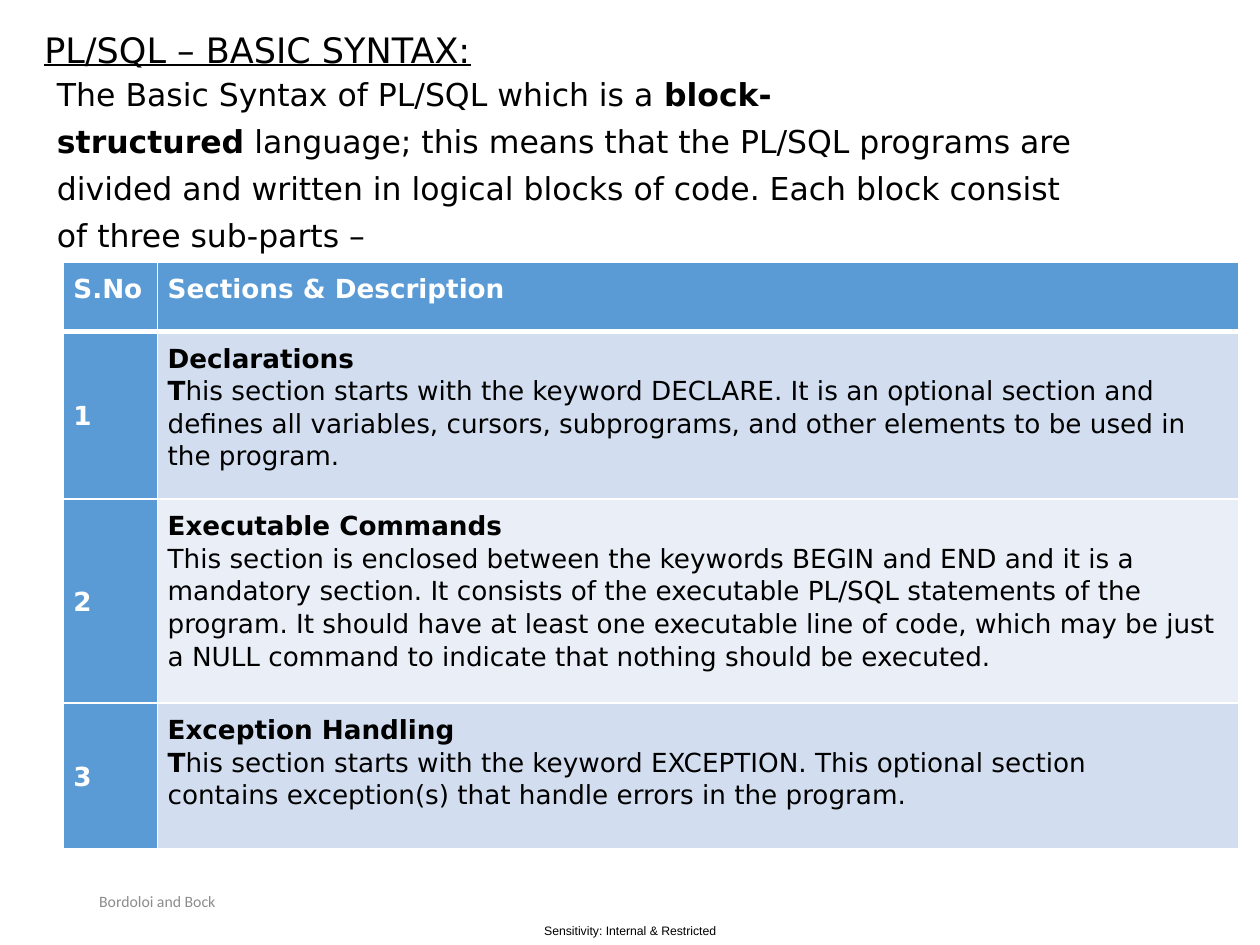
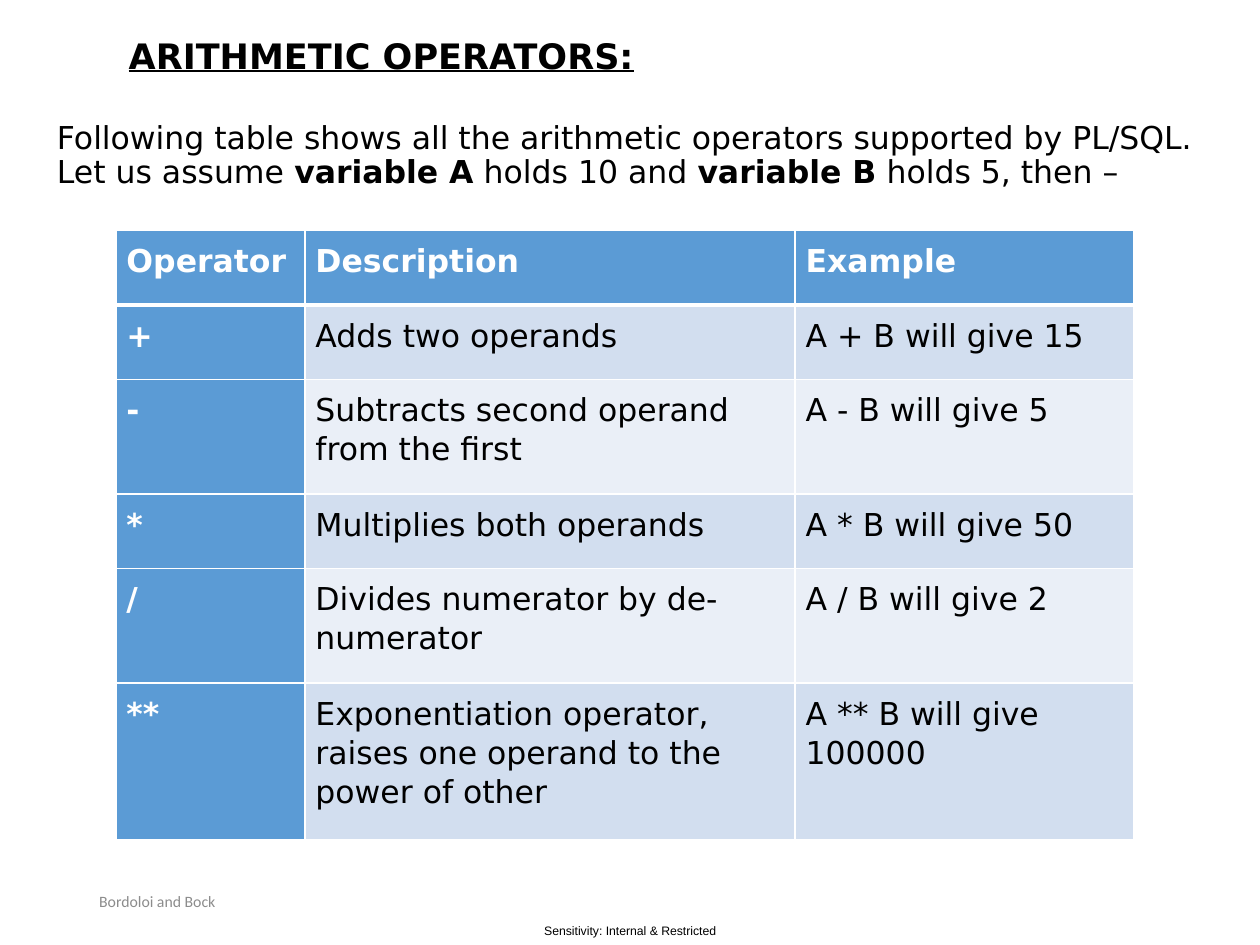
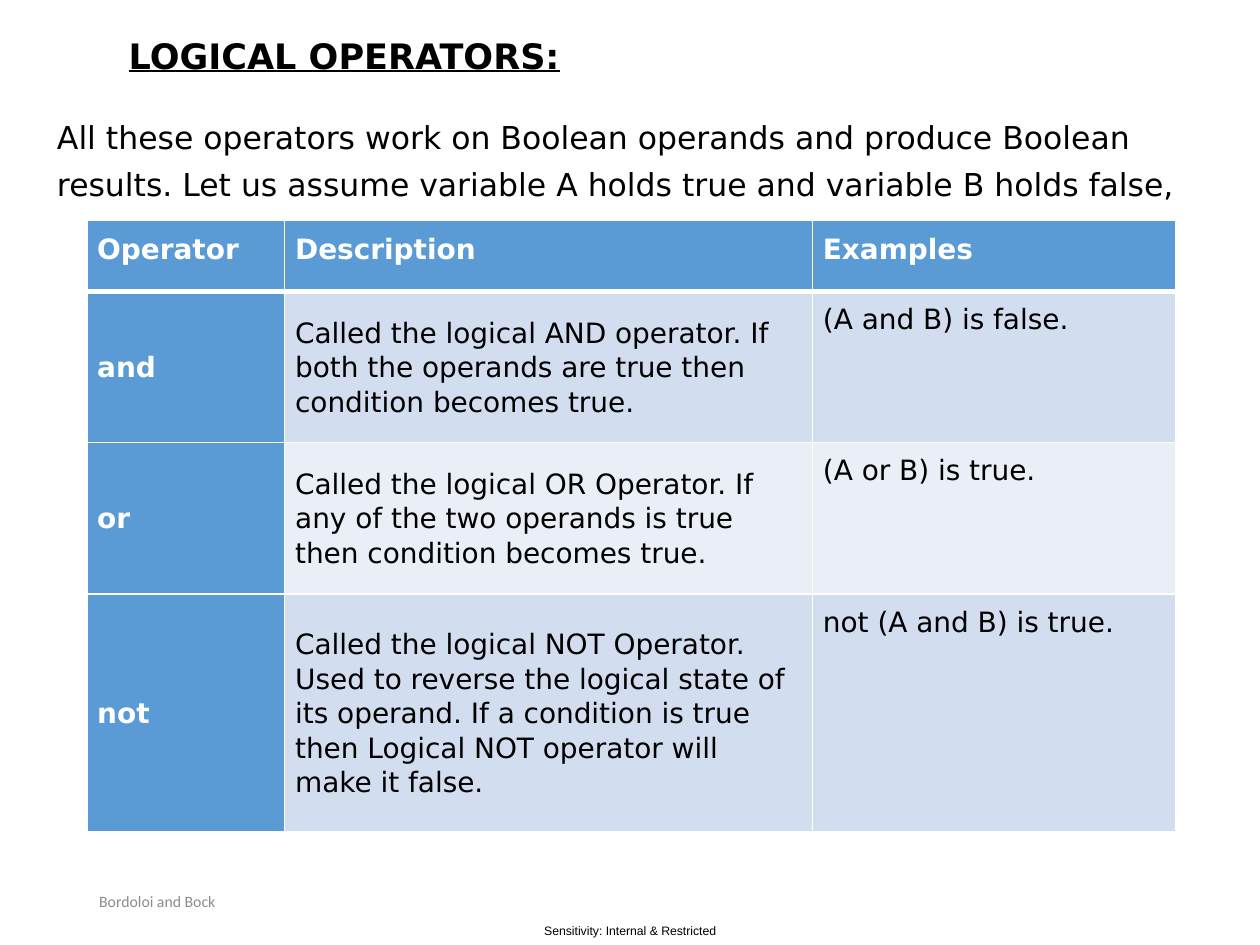
from lxml import etree
from pptx import Presentation, util as u
from pptx.dml.color import RGBColor
from pptx.enum import text
from pptx.oxml import ns

HUES = {"ink": "000000", "paper": "FFFFFF", "head": "5B9BD5",
        "odd": "D2DEEF", "even": "EAEFF7", "note": "8C8C8C"}
FACE = "DejaVu Sans"


def place(item, box):
    """Move and size a shape to a box given in centimetres."""
    item.left, item.top, item.width, item.height = map(u.Cm, box)


def write(frame, lines, size, hue="ink", bold=False, face=FACE, gap=None, before=0):
    """Fill a text frame with paragraphs, where a bar switches bold on or off."""
    for k, line in enumerate(lines):
        para = frame.paragraphs[0] if k == 0 else frame.add_paragraph()
        font = para.font
        font.name, font.size, font.bold = face, u.Pt(size), bold
        font.color.rgb = RGBColor.from_string(HUES[hue])
        para.line_spacing, para.space_before = gap, u.Pt(before)
        parts = line.split("|")
        for n, part in enumerate(parts):
            if part:
                run = para.add_run()
                run.text = part
                if len(parts) > 1:
                    run.font.bold = n % 2 == 1


def add_text(slide, box, lines, size, **style):
    """Add a wrapping text box and return its frame."""
    item = slide.shapes.add_textbox(0, 0, 0, 0)
    place(item, box)
    frame = item.text_frame
    frame.word_wrap = True
    write(frame, lines, size, **style)
    return frame


def add_title(slide, box, title, bold):
    """Place and format the underlined title."""
    item = slide.shapes.title
    place(item, box)
    frame = item.text_frame
    frame.vertical_anchor = text.MSO_ANCHOR.MIDDLE
    write(frame, [title], 20, bold=bold, gap=0.9)
    para = frame.paragraphs[0]
    para.font.underline = True
    para.alignment = text.PP_ALIGN.LEFT


def add_body(slide, box, lines):
    """Add the introduction with its left indent."""
    frame = add_text(slide, box, lines, 18, gap=0.9, before=7.5)
    for para in frame.paragraphs:
        props = para._p.get_or_add_pPr()
        props.set("marL", str(u.Cm(0.47)))
        props.set("indent", "0")


def add_foot(slide):
    """Add the author line and the sensitivity mark."""
    mark = add_text(slide, (10.62, 18.49, 4.17, 0.56),
                    ["Sensitivity: Internal & Restricted"], 7, face="Arial")
    mark.margin_left = mark.margin_right = mark.margin_top = mark.margin_bottom = 0
    mark.paragraphs[0].alignment = text.PP_ALIGN.CENTER
    names = add_text(slide, (1.75, 17.65, 5.72, 1.02), ["Bordoloi and Bock"], 9,
                     hue="note", face="Calibri")
    mark.vertical_anchor = names.vertical_anchor = text.MSO_ANCHOR.MIDDLE


def edge(cell, base):
    """Draw white cell borders, with the given bottom width in points."""
    props = cell._tc.get_or_add_tcPr()
    for side, width in (("L", 1), ("R", 1), ("T", 1), ("B", base)):
        line = etree.SubElement(props, ns.qn("a:ln" + side), w=str(u.Pt(width)))
        fill = etree.SubElement(line, ns.qn("a:solidFill"))
        etree.SubElement(fill, ns.qn("a:srgbClr"), val=HUES["paper"])


def add_grid(slide, spot, wide, high, rows, size, mid):
    """Add a table whose first mid columns are centred vertically below the head."""
    box = (*spot, sum(wide), sum(high))
    grid = slide.shapes.add_table(len(rows), len(wide), *map(u.Cm, box)).table
    grid.first_col = True
    for col, width in zip(grid.columns, wide):
        col.width = u.Cm(width)
    for r, row in enumerate(rows):
        grid.rows[r].height = u.Cm(high[r])
        for c, words in enumerate(row):
            cell = grid.cell(r, c)
            head = r == 0 or c == 0
            tone = "head" if head else "odd" if r % 2 else "even"
            edge(cell, 1 if r else 3)
            cell.fill.solid()
            cell.fill.fore_color.rgb = RGBColor.from_string(HUES[tone])
            cell.margin_left = cell.margin_right = u.Cm(0.21)
            cell.margin_top = cell.margin_bottom = u.Cm(0.21)
            if r and c < mid:
                cell.vertical_anchor = text.MSO_ANCHOR.MIDDLE
            write(cell.text_frame, words.split("\n"), size,
                  hue="paper" if head else "ink", bold=head, gap=1.07)


def add_page(deck, title, body, grid):
    """Add one slide with title, introduction, footer and table."""
    slide = deck.slides.add_slide(deck.slide_layouts[5])
    add_title(slide, *title)
    add_body(slide, *body)
    add_foot(slide)
    add_grid(slide, *grid)


SYNTAX = [
    ("S.No", "Sections & Description"),
    ("1", "|Declarations|\n|T|his section starts with the keyword\u00a0DECLARE. It is an "
     "optional section and defines all variables, cursors, subprograms, and other "
     "elements to be used in the program."),
    ("2", "|Executable Commands|\nThis section is enclosed between the keywords\u00a0BEGIN"
     "\u00a0and\u00a0END\u00a0and it is a mandatory section. It consists of the executable "
     "PL/SQL statements of the program. It should have at least one executable line of "
     "code, which may be just a\u00a0NULL command\u00a0to indicate that nothing should be "
     "executed."),
    ("3", "|Exception Handling|\n|T|his section starts with the keyword\u00a0EXCEPTION. This "
     "optional section contains\u00a0exception(s)\u00a0that handle errors in the program."),
]
MATHS = [
    ("Operator", "Description", "Example"),
    ("+", "Adds two operands", "A + B will give 15"),
    ("-", "Subtracts second operand from the first", "A - B will give 5"),
    ("*", "Multiplies both operands", "A * B will give 50"),
    ("/", "Divides numerator by de-numerator", "A / B will give 2"),
    ("**", "Exponentiation operator, raises one operand to the power of other",
     "A ** B will give 100000"),
]
LOGIC = [
    ("Operator", "Description", "Examples"),
    ("and", "Called the logical AND operator. If both the operands are true then "
     "condition becomes true.", "(A and B) is false."),
    ("or", "Called the logical OR Operator. If any of the two operands is true then "
     "condition becomes true.", "(A or B) is true."),
    ("not", "Called the logical NOT Operator. Used to reverse the logical state of its "
     "operand. If a condition is true then Logical NOT operator will make it false.",
     "not (A and B) is true."),
]
TOP = (2.34, 0, 22.23, 2.34)

deck = Presentation()
deck.slide_width, deck.slide_height = u.Cm(25.4), u.Cm(19.05)
add_page(deck,
         ((0.64, 0, 23.93, 2.11), "PL/SQL – BASIC SYNTAX:", False),
         ((0.43, 1.47, 23.5, 15.67),
          ["The Basic Syntax of PL/SQL which is a\u00a0|block-|",
           "|structured|\u00a0language; this means that the PL/SQL programs are",
           "divided and written in logical blocks of code. Each block consist",
           "of three sub-parts –"]),
         ((1.27, 5.28), (1.9, 21.8), (1.4, 3.38, 4.11, 2.95), SYNTAX, 15, 1))
add_page(deck,
         (TOP, "ARITHMETIC OPERATORS:", True),
         ((0.43, 2.34, 24.97, 14.61),
          ["Following table shows all the arithmetic operators supported by PL/SQL. Let us "
           "assume\u00a0|variable A|\u00a0holds 10 and\u00a0|variable B|\u00a0holds 5, then –"]),
         ((2.34, 4.65), (3.81, 9.88, 6.83), (1.5, 1.5, 2.31, 1.5, 2.31, 3.15), MATHS, 18, 0))
add_page(deck,
         (TOP, "LOGICAL OPERATORS:", True),
         ((0.43, 2.34, 24.56, 15.32),
          ["All these operators work on Boolean operands and produce Boolean",
           "results. Let us assume\u00a0variable A\u00a0holds true and\u00a0variable B"
           "\u00a0holds false,"]),
         ((1.75, 4.45), (3.99, 10.64, 7.32), (1.42, 3.05, 3.05, 4.8), LOGIC, 16, 2))
deck.save("out.pptx")
